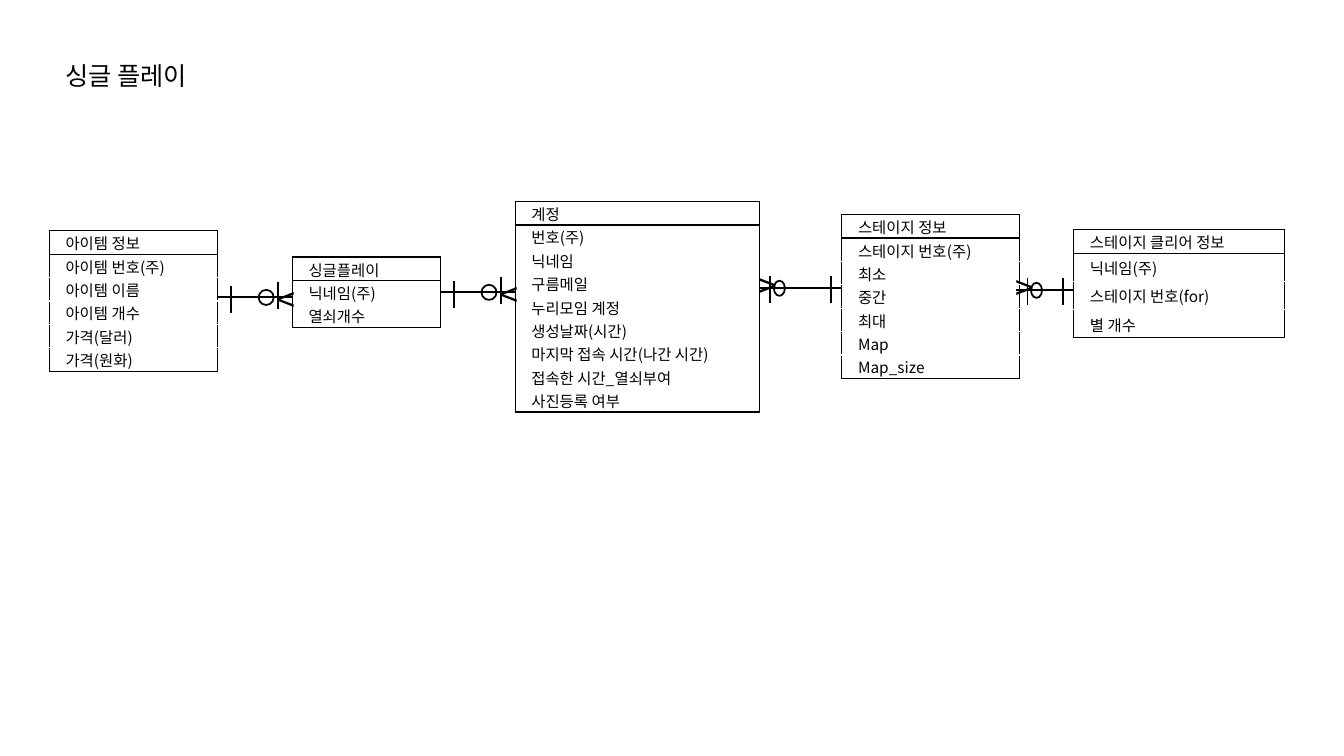
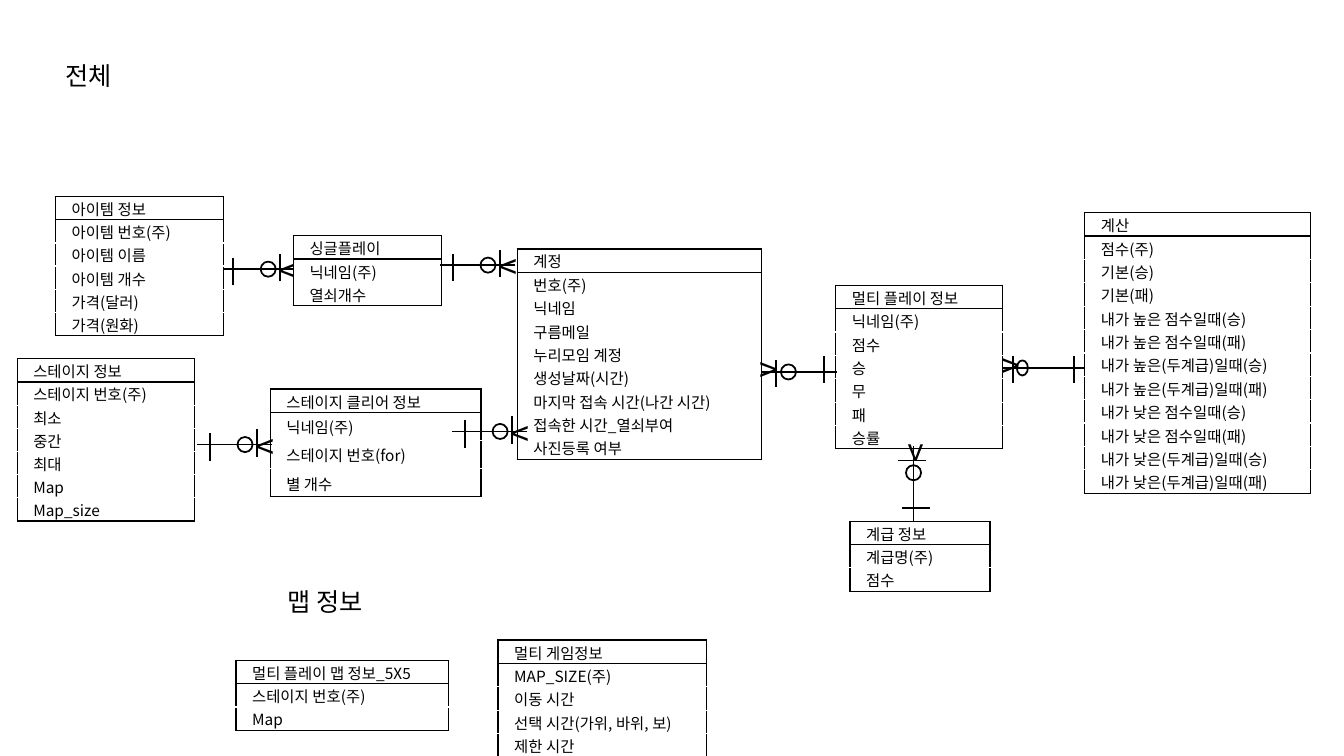
from dataclasses import dataclass
from typing import Optional, Union

from lxml.etree import SubElement
from pptx import Presentation
from pptx.dml.color import RGBColor as Rgb
from pptx.enum.shapes import MSO_CONNECTOR as Wire, MSO_SHAPE as Form
from pptx.enum.text import MSO_ANCHOR as Anchor, MSO_AUTO_SIZE as Fit
from pptx.oxml.ns import qn
from pptx.util import Emu, Pt

SCALE = 9144
FONT = "Noto Sans CJK KR"
BLACK = "000000"
WHITE = "FFFFFF"
ROW = 23
TURNS = {0: (1, 0), 90: (0, 1), 180: (-1, 0)}


@dataclass(frozen=True)
class Entity:
    name: str
    fields: tuple[str, ...]
    width: int
    row: int = ROW
    seam: Optional[str] = WHITE


@dataclass(frozen=True)
class Place:
    entity: Entity
    left: int
    top: int


@dataclass(frozen=True)
class Title:
    text: str
    left: int
    top: int
    width: int


@dataclass(frozen=True)
class Link:
    left: int
    top: int
    turn: int = 0
    length: int = 75
    tight: bool = False


Item = Union[Place, Title, Link]

ACCOUNT = Entity("계정", (
    "번호(주)", "닉네임", "구름메일", "누리모임 계정", "생성날짜(시간)",
    "마지막 접속 시간(나간 시간)", "접속한 시간_열쇠부여", "사진등록 여부",
), 242, seam=None)
SINGLE = Entity("싱글플레이", ("닉네임(주)", "열쇠개수"), 147, seam=None)
CLEAR = Entity("스테이지 클리어 정보", (
    "닉네임(주)", "스테이지 번호(for)", "별 개수",
), 209, row=28)
STAGE = Entity("스테이지 정보", (
    "스테이지 번호(주)", "최소", "중간", "최대", "Map", "Map_size",
), 176)
GOODS = Entity("아이템 정보", (
    "아이템 번호(주)", "아이템 이름", "아이템 개수", "가격(달러)", "가격(원화)",
), 167)
MULTI = Entity("멀티 플레이 정보", (
    "닉네임(주)", "점수", "승", "무", "패", "승률",
), 165)
RANK = Entity("계급 정보", ("계급명(주)", "점수"), 139)
CASES = ("높은 점수일때", "높은(두계급)일때", "낮은 점수일때", "낮은(두계급)일때")
SCORE = Entity("계산", (
    "점수(주)", "기본(승)", "기본(패)",
    *(f"내가 {case}({end})" for case in CASES for end in "승패"),
), 224)
GAME = Entity("멀티 게임정보", (
    "MAP_SIZE(주)", "이동 시간", "선택 시간(가위, 바위, 보)", "제한 시간",
), 207)
BOARD = Entity("멀티 플레이 맵 정보_5X5", ("스테이지 번호(주)", "Map"), 211)

SLIDES: tuple[tuple[Item, ...], ...] = (
    (
        Place(ACCOUNT, 511, 200),
        Place(SINGLE, 290, 255),
        Place(CLEAR, 1065, 228),
        Place(STAGE, 835, 213),
        Place(GOODS, 49, 229),
        Title("싱글 플레이", 55, 55, 155),
        Link(753, 286, length=82, tight=True),
        Link(512, 290, 180),
        Link(291, 295, 180),
        Link(1008, 288, length=57, tight=True),
    ),
    (
        Place(ACCOUNT, 513, 247),
        Place(MULTI, 829, 283),
        Place(RANK, 843, 517),
        Place(SCORE, 1076, 211),
        Place(GAME, 494, 635),
        Place(BOARD, 234, 655),
        Title("전체", 55, 55, 71),
        Title("맵 정보", 275, 577, 105),
        Link(293, 267, 180),
        Link(994, 365, length=82, tight=True),
        Link(906, 442, 90),
        Link(755, 369),
        Place(SINGLE, 291, 234),
        Place(STAGE, 17, 356),
        Place(GOODS, 55, 195),
        Place(CLEAR, 268, 386),
        Link(270, 441, 180),
        Link(511, 263, 180),
        Link(523, 428, 180),
    ),
)


def px(size: float) -> Emu:
    return Emu(round(size * SCALE))


def paint(code: str) -> Rgb:
    return Rgb.from_string(code)


def write(frame, text: str, *, size: int = 11, color: str = BLACK) -> None:
    run = frame.paragraphs[0].add_run()
    run.text = text
    font = run.font
    font.size, font.name, font.bold = Pt(size), FONT, False
    font.color.rgb = paint(color)
    SubElement(run._r.get_or_add_rPr(), qn("a:ea"), typeface=FONT)


def label(shapes, text: str, left: float, top: float, width: int, high: int,
          *, size: int, turn: int = 0) -> None:
    box = shapes.add_textbox(px(left), px(top), px(width), px(high))
    box.rotation = turn
    box.text_frame.word_wrap = False
    box.text_frame.auto_size = Fit.SHAPE_TO_FIT_TEXT
    write(box.text_frame, text, size=size)


def edge(cell, side: str, color: Optional[str]) -> None:
    line = SubElement(cell._tc.get_or_add_tcPr(), qn(f"a:ln{side}"), w=str(Pt(1)))
    if color is None:
        SubElement(line, qn("a:noFill"))
    else:
        fill = SubElement(line, qn("a:solidFill"))
        SubElement(fill, qn("a:srgbClr"), val=color)


def draw_table(shapes, place: Place) -> None:
    entity = place.entity
    texts = (entity.name, *entity.fields)
    last = len(texts) - 1
    total = ROW + entity.row * last
    grid = shapes.add_table(len(texts), 1, px(place.left), px(place.top),
                            px(entity.width), px(total)).table
    grid.first_row = grid.horz_banding = False
    for at, text in enumerate(texts):
        grid.rows[at].height = px(entity.row if at else ROW)
        cell = grid.cell(at, 0)
        cell.margin_left, cell.margin_top = px(16), px(1)
        cell.margin_right, cell.margin_bottom = px(1), px(0)
        cell.vertical_anchor = Anchor.MIDDLE
        edge(cell, "L", BLACK)
        edge(cell, "R", BLACK)
        edge(cell, "T", BLACK if at < 2 else entity.seam)
        edge(cell, "B", BLACK if at in (0, last) else entity.seam)
        cell.fill.solid()
        cell.fill.fore_color.rgb = paint(WHITE)
        write(cell.text_frame, text)


def stroke(shape) -> None:
    shape.line.color.rgb = paint(BLACK)
    shape.line.width = Pt(1.25)


def draw_link(shapes, link: Link) -> None:
    group = shapes.add_group_shape().shapes
    dx, dy = TURNS[link.turn]

    def spot(along: float, side: float) -> tuple[float, float]:
        return (link.left + along * dx - side * dy,
                link.top + along * dy + side * dx)

    def wire(start: tuple[float, float], end: tuple[float, float]) -> None:
        line = group.add_connector(Wire.STRAIGHT, *map(px, (*start, *end)))
        stroke(line)
        SubElement(line._element.spPr, qn("a:effectLst"))

    if link.tight:
        fork, near, ring, wide, span, far, rise = 8, 11, 20, 11, 37, 11, 12
    else:
        fork, near, ring, wide, span, far, rise = 10, 15, 27, 15, 44, 13, 16
    tail = link.length - far
    x, y = spot(fork, -3)
    label(group, ">", x - span / 2, y - 25, span, 50, size=24, turn=link.turn)
    wire(spot(0, 0), spot(link.length, 0))
    wire(spot(near, -12), spot(near, 15))
    x, y = spot(ring, 0)
    oval = group.add_shape(Form.OVAL, px(x - wide / 2), px(y - 7.5), px(wide), px(15))
    oval.rotation = link.turn
    oval.shadow.inherit = False
    oval.fill.background()
    stroke(oval)
    wire(spot(tail, -rise), spot(tail, 27 - rise))


def draw(shapes, item: Item) -> None:
    if isinstance(item, Place):
        draw_table(shapes, item)
    elif isinstance(item, Link):
        draw_link(shapes, item)
    else:
        label(shapes, item.text, item.left, item.top, item.width, 40, size=18)


def main() -> None:
    deck = Presentation()
    deck.slide_width, deck.slide_height = px(1333), px(750)
    for items in SLIDES:
        slide = deck.slides.add_slide(deck.slide_layouts[6])
        for item in items:
            draw(slide.shapes, item)
    deck.save("out.pptx")


if __name__ == "__main__":
    main()
